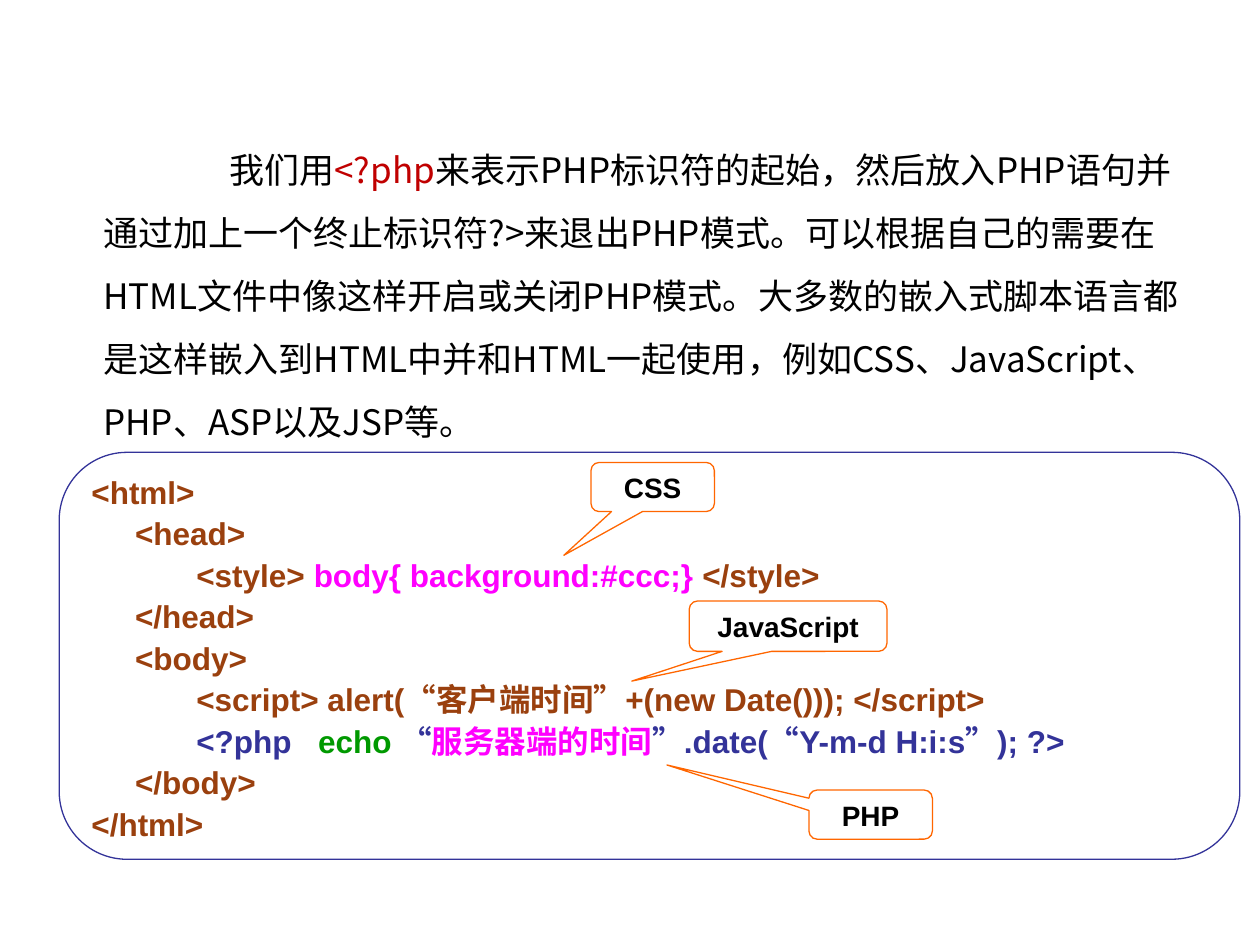
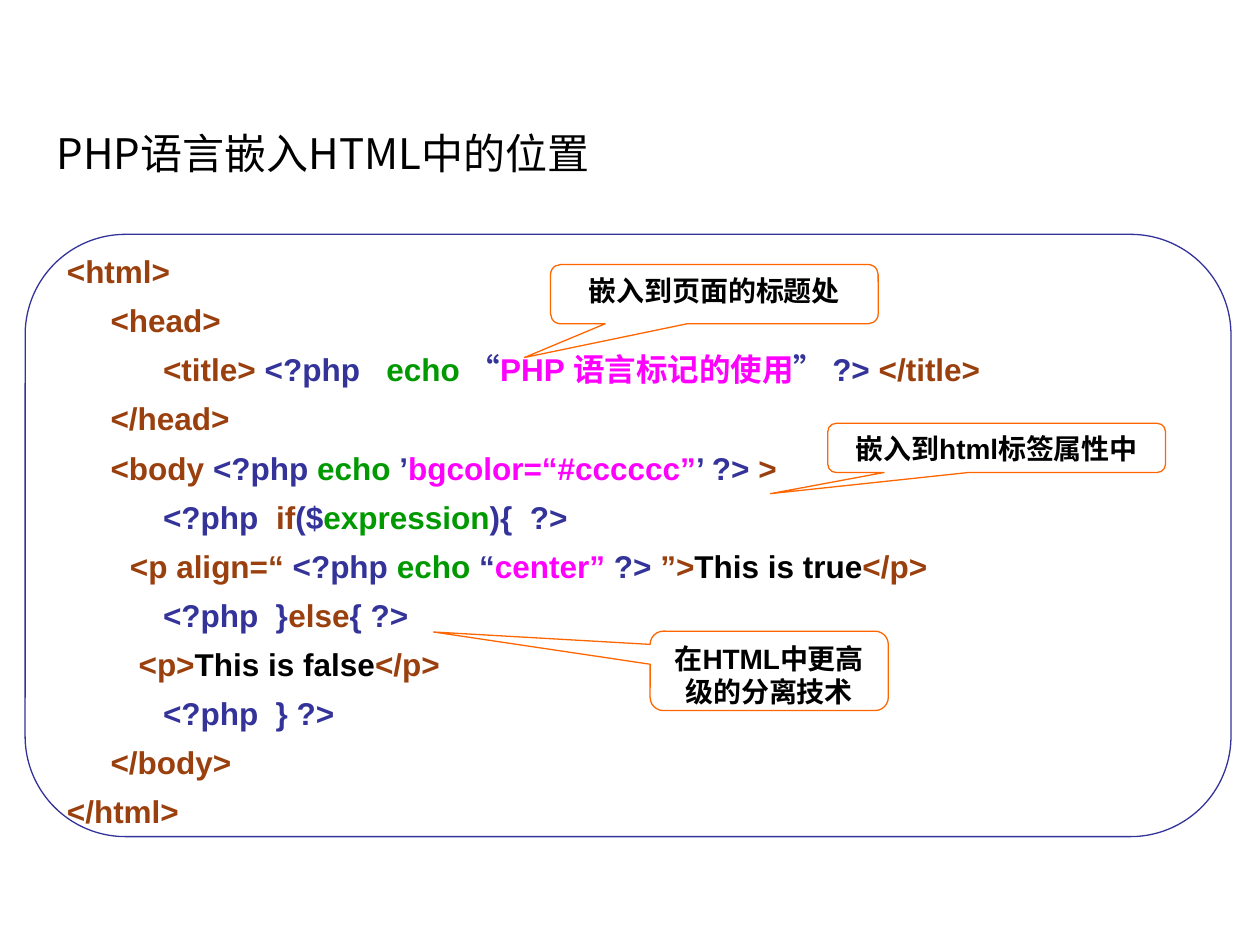
"""Build two slides on embedding PHP code in HTML pages."""
from dataclasses import dataclass

from pptx import Presentation, util as u
from pptx.dml.color import RGBColor
from pptx.enum import shapes, text
from pptx.oxml.ns import qn


@dataclass(frozen=True)
class Theme:
    """Colours, fonts and type sizes shared by the slides."""
    tag: str = "9A400E"
    php: str = "333399"
    echo: str = "009900"
    value: str = "FF00FF"
    plain: str = "000000"
    mark: str = "C00000"
    paper: str = "FFFFFF"
    callout: str = "FF6600"
    code_font: str = "Arial"
    text_font: str = "Noto Sans CJK SC"
    title_size: int = 24
    intro_size: int = 20
    code_size: int = 18
    callout_size: int = 16


THEME = Theme()
TEXT_AREA = (0.35, 0.96, 9.3, 5.5)

INTRO = [
    ("plain", "我们用"),
    ("mark", "<?php"),
    ("plain", "来表示PHP标识符的起始，然后放入PHP语句并通过加上一个终止标识符?>来退出PHP模式。"
              "可以根据自己的需要在HTML文件中像这样开启或关闭PHP模式。"
              "大多数的嵌入式脚本语言都是这样嵌入到HTML中并和HTML一起使用，"
              "例如CSS、JavaScript、PHP、ASP以及JSP等。"),
]
TITLE = [("plain", "PHP语言嵌入HTML中的位置")]

LANGUAGES = {
    "area": (0.47, 3.59, 9.37, 3.23),
    "spacing": 1.1,
    "code": [
        [("tag", "<html>")],
        [("tag", "     <head>")],
        [("tag", "            <style>"), ("value", " body{ background:#ccc;} "),
         ("tag", "</style>")],
        [("tag", "     </head>")],
        [("tag", "     <body>")],
        [("tag", "            <script> alert(“客户端时间”+(new Date())); </script>")],
        [("php", "            <?php   "), ("echo", "echo "), ("php", "“"),
         ("value", "服务器端的时间"), ("php", "”.date(“Y-m-d H:i:s”); ?>")],
        [("tag", "     </body>")],
        [("tag", "</html>")],
    ],
    "callouts": [
        ("CSS", (4.69, 3.67, 0.98, 0.39), (-0.72, 1.39)),
        ("JavaScript", (5.47, 4.77, 1.57, 0.4), (-0.79, 1.09)),
        ("PHP", (6.42, 6.27, 0.98, 0.39), (-1.65, -1.01)),
    ],
}

POSITIONS = {
    "area": (0.2, 1.86, 9.57, 4.78),
    "spacing": 1.3,
    "code": [
        [("tag", "<html>")],
        [("tag", "     <head>")],
        [("tag", "           <title> "), ("php", "<?php   "), ("echo", "echo "),
         ("php", "“"), ("value", "PHP 语言标记的使用"), ("php", "” ?> "),
         ("tag", "</title>")],
        [("tag", "     </head>")],
        [("tag", "     <body "), ("php", "<?php "), ("echo", "echo "), ("php", "’"),
         ("value", "bgcolor=“#cccccc”"), ("php", "’ ?> "), ("tag", ">")],
        [("php", "           <?php  "), ("tag", "if"), ("php", "($"),
         ("echo", "expression"), ("php", "){  ?>")],
        [("tag", "\t<p align=“"), ("php", " <?php "), ("echo", "echo "), ("php", "“"),
         ("value", "center”"), ("php", " ?> "), ("tag", "”>"),
         ("plain", "This is true"), ("tag", "</p>")],
        [("php", "           <?php  }"), ("tag", "else"), ("php", "{ ?>")],
        [("tag", "\t <p>"), ("plain", "This is false"), ("tag", "</p>")],
        [("php", "           <?php  } ?>")],
        [("tag", "     </body>")],
        [("tag", "</html>")],
    ],
    "callouts": [
        ("嵌入到页面的标题处", (4.37, 2.1, 2.6, 0.47), (-0.58, 1.07)),
        ("嵌入到html标签属性中", (6.57, 3.36, 2.68, 0.39), (-0.67, 0.93)),
        ("在HTML中更高级的分离技术", (5.16, 5.01, 1.89, 0.63), (-1.41, -0.49)),
    ],
}


def inches(area):
    return [u.Inches(length) for length in area]


def colour(name):
    return RGBColor.from_string(getattr(THEME, name))


def add_spans(para, spans, font, size, bold=False):
    for role, words in spans:
        span = para.add_run()
        span.text = words
        span.font.name = font
        span.font.size = u.Pt(size)
        span.font.bold = bold
        span.font.color.rgb = colour(role)
        east_asian = span.font._element.makeelement(
            qn("a:ea"), {"typeface": THEME.text_font})
        span.font._element.find(qn("a:latin")).addnext(east_asian)


def add_box(page, kind, area, line):
    box = page.shapes.add_shape(kind, *inches(area))
    box.shadow.inherit = False
    box.fill.solid()
    box.fill.fore_color.rgb = colour("paper")
    box.line.color.rgb = colour(line)
    box.line.width = u.Pt(0.75)
    return box


def add_code(page, listing):
    panel = add_box(page, shapes.MSO_SHAPE.FLOWCHART_ALTERNATE_PROCESS,
                    listing["area"], "php")
    frame = panel.text_frame
    frame.word_wrap = False
    frame.vertical_anchor = text.MSO_ANCHOR.MIDDLE
    for index, spans in enumerate(listing["code"]):
        para = frame.add_paragraph() if index else frame.paragraphs[0]
        para.alignment = text.PP_ALIGN.LEFT
        para.line_spacing = listing["spacing"]
        add_spans(para, spans, THEME.code_font, THEME.code_size, bold=True)


def add_callout(page, label, area, pointer):
    callout = add_box(page, shapes.MSO_SHAPE.ROUNDED_RECTANGULAR_CALLOUT,
                      area, "callout")
    callout.adjustments[0], callout.adjustments[1] = pointer
    frame = callout.text_frame
    frame.word_wrap = True
    frame.vertical_anchor = text.MSO_ANCHOR.TOP
    para = frame.paragraphs[0]
    para.alignment = text.PP_ALIGN.CENTER
    add_spans(para, [("plain", label)], THEME.code_font, THEME.callout_size, bold=True)


def add_listing(page, listing):
    add_code(page, listing)
    for callout in listing["callouts"]:
        add_callout(page, *callout)


def add_intro(page):
    frame = page.shapes.add_textbox(*inches(TEXT_AREA)).text_frame
    frame.word_wrap = True
    para = frame.paragraphs[0]
    para.line_spacing = u.Pt(36)
    properties = para._p.get_or_add_pPr()
    properties.set("marL", str(u.Inches(0.37)))
    properties.set("indent", str(u.Inches(1)))
    add_spans(para, INTRO, THEME.text_font, THEME.intro_size)


def set_title(page):
    title = page.shapes.title
    title.left, title.top, title.width, title.height = inches(TEXT_AREA)
    frame = title.text_frame
    frame.auto_size = text.MSO_AUTO_SIZE.NONE
    frame.vertical_anchor = text.MSO_ANCHOR.TOP
    para = frame.paragraphs[0]
    para.alignment = text.PP_ALIGN.LEFT
    add_spans(para, TITLE, THEME.text_font, THEME.title_size)


def main():
    deck = Presentation()
    deck.slide_width, deck.slide_height = inches((10, 7.5))
    title_only, blank = deck.slide_layouts[5], deck.slide_layouts[6]

    page = deck.slides.add_slide(blank)
    add_intro(page)
    add_listing(page, LANGUAGES)

    page = deck.slides.add_slide(title_only)
    set_title(page)
    add_listing(page, POSITIONS)

    deck.save("out.pptx")


if __name__ == "__main__":
    main()
